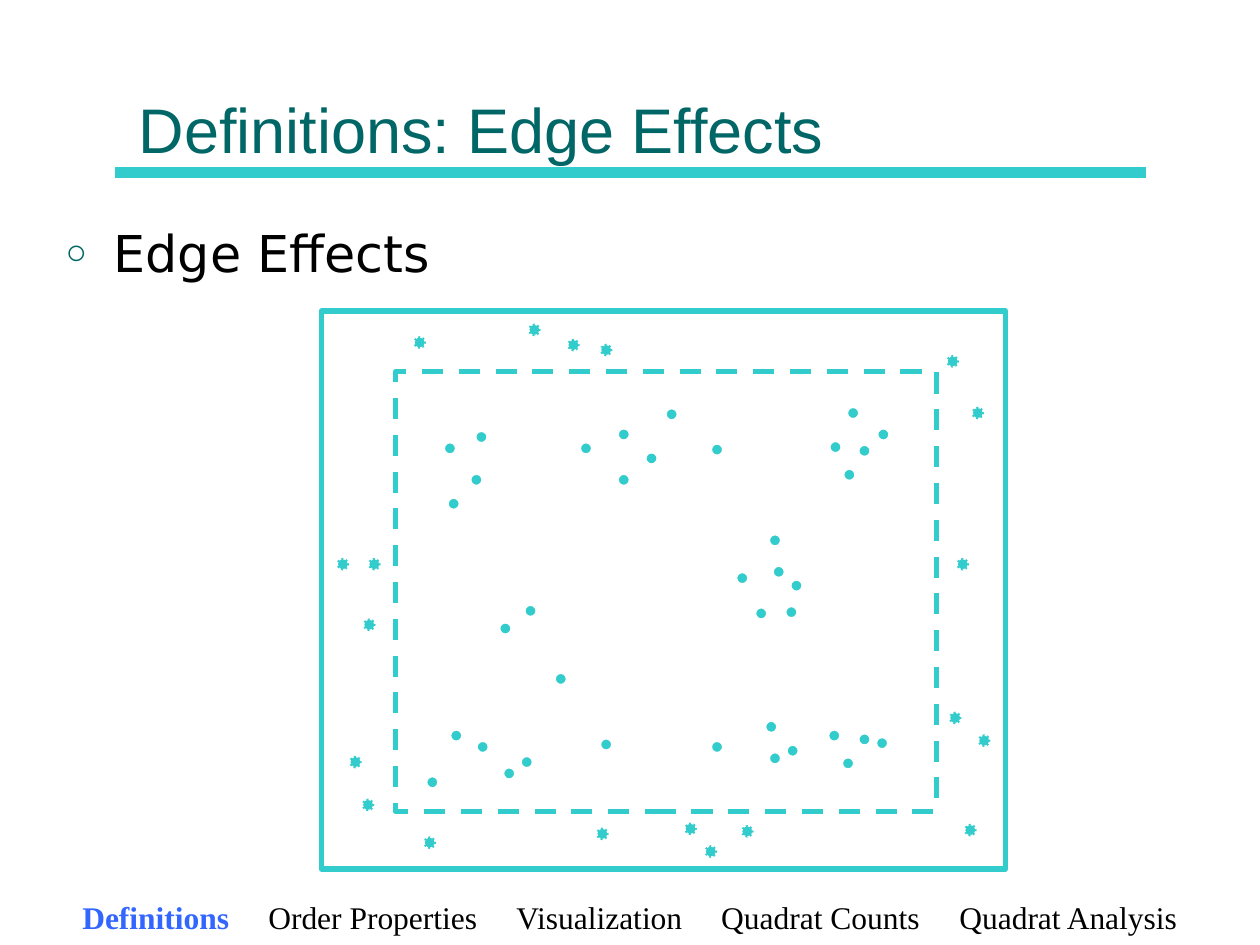
from lxml.etree import SubElement
from pptx import Presentation
from pptx.dml.color import RGBColor
from pptx.enum.dml import MSO_LINE
from pptx.enum.shapes import MSO_CONNECTOR, MSO_SHAPE
from pptx.enum.text import MSO_ANCHOR, MSO_AUTO_SIZE, PP_ALIGN
from pptx.oxml.ns import qn
from pptx.util import Cm, Pt

TEAL = RGBColor(0x33, 0xCC, 0xCC)
DARK = RGBColor(0x00, 0x66, 0x66)
BLUE = RGBColor(0x33, 0x66, 0xFF)
BLACK = RGBColor(0, 0, 0)
WHITE = RGBColor(0xFF, 0xFF, 0xFF)

# Map units: 100 units are 2.54 cm, counted from the frame's top left corner
UNIT = Cm(2.54) / 100
DOT = 10
FRAME = (543, 443)
STUDY = (59, 48, 429, 349)
INNER = [
    (97, 104), (122, 95), (118, 129), (100, 148),
    (205, 104), (235, 93), (235, 129), (257, 112), (273, 77), (309, 105),
    (403, 103), (417, 76), (414, 125), (426, 106), (441, 93),
    (329, 207), (355, 177), (358, 202), (372, 213), (344, 235), (368, 234),
    (141, 247), (161, 233), (185, 287),
    (83, 369), (102, 332), (123, 341), (144, 362), (158, 353), (221, 339),
    (309, 341), (352, 325), (355, 350), (369, 344),
    (402, 332), (413, 354), (426, 335), (440, 338),
]
OUTER = [
    (73, 20), (164, 10), (195, 22), (221, 26),
    (496, 35), (516, 76), (504, 196), (498, 318), (521, 336), (510, 407),
    (12, 196), (37, 196), (33, 244), (22, 353), (32, 387),
    (81, 417), (218, 410), (288, 406), (304, 424), (333, 408),
]
# Section names and the tab stop of each, in cm
MENU = [("Definitions", 0), ("Order Properties", 3.75), ("Visualization", 8.75),
        ("Quadrat Counts", 12.88), ("Quadrat Analysis", 17.68)]


def place(shape, box):
    shape.left, shape.top, shape.width, shape.height = map(Cm, box)


def style(font, name, size, color=None):
    font.name, font.size = name, Pt(size)
    if color is not None:
        font.color.rgb = color


def add_title(slide, box, text):
    title = slide.shapes.title
    place(title, box)
    frame = title.text_frame
    frame.text = text
    frame.auto_size = MSO_AUTO_SIZE.NONE
    frame.vertical_anchor = MSO_ANCHOR.BOTTOM
    para = frame.paragraphs[0]
    para.alignment = PP_ALIGN.LEFT
    style(para.font, "Arial", 36, DARK)

    # Rule along the bottom of the title
    left, top, width, height = box
    y = Cm(top + height)
    rule = slide.shapes.add_connector(
        MSO_CONNECTOR.STRAIGHT, Cm(left - 0.23), y, Cm(left + width + 0.25), y)
    rule.line.color.rgb = TEAL
    rule.line.width = Pt(6)
    SubElement(rule._element.spPr, qn("a:effectLst"))


def add_list(slide, box, text):
    body = slide.placeholders[1]
    place(body, box)
    frame = body.text_frame
    frame.text = text
    frame.auto_size = MSO_AUTO_SIZE.NONE
    para = frame.paragraphs[0]
    props = para._p.get_or_add_pPr()
    props.set("marL", str(Cm(0.97)))
    props.set("indent", str(Cm(-0.97)))
    color = SubElement(props, qn("a:buClr"))
    SubElement(color, qn("a:srgbClr"), val=str(DARK))
    SubElement(props, qn("a:buSzPct"), val="70000")
    SubElement(props, qn("a:buChar"), char="○")
    para.space_before = Pt(0)
    style(para.font, "DejaVu Sans", 29, BLACK)


def add_map(slide, left, top):
    def draw(shapes, kind, x, y, width, height):
        shape = shapes.add_shape(
            kind, round(Cm(left) + x * UNIT), round(Cm(top) + y * UNIT),
            round(width * UNIT), round(height * UNIT))
        shape.shadow.inherit = False
        return shape

    def outline(box, dash=None):
        rect = draw(slide.shapes, MSO_SHAPE.RECTANGLE, *box)
        rect.fill.background()
        rect.line.color.rgb = TEAL
        rect.line.width = Pt(3)
        rect.line.dash_style = dash

    def scatter(shapes, points, dash=None):
        for x, y in points:
            dot = draw(shapes, MSO_SHAPE.OVAL, x, y, DOT, DOT)
            dot.fill.solid()
            dot.fill.fore_color.rgb = TEAL
            dot.line.color.rgb = WHITE
            dot.line.width = Pt(1.5)
            dot.line.dash_style = dash

    # Events in the study area, the two borders, events in the edge zone
    scatter(slide.shapes, INNER)
    outline((0, 0, *FRAME))
    outline(STUDY, MSO_LINE.DASH)
    scatter(slide.shapes.add_group_shape().shapes, OUTER, MSO_LINE.ROUND_DOT)


def add_menu(slide, box, active):
    frame = slide.shapes.add_textbox(*map(Cm, box)).text_frame
    frame.word_wrap = True
    frame.margin_left = Cm(0.64)
    para = frame.paragraphs[0]
    tabs = SubElement(para._p.get_or_add_pPr(), qn("a:tabLst"))
    for name, stop in MENU:
        if stop:
            SubElement(tabs, qn("a:tab"), pos=str(Cm(stop)), algn="l")
        run = para.add_run()
        run.text = "\t" + name if stop else name
        run.font.bold = name == active
        run.font.color.rgb = BLUE if name == active else BLACK
    style(para.font, "Times New Roman", 18)


def main():
    deck = Presentation()
    deck.slide_width, deck.slide_height = Cm(25.4), Cm(19.05)
    slide = deck.slides.add_slide(deck.slide_layouts[1])
    add_title(slide, (2.54, 0.3, 20.32, 3.18), "Definitions: Edge Effects")
    add_list(slide, (1.07, 4.34, 23.19, 11.43), "Edge Effects")
    add_map(slide, 6.48, 6.27)
    add_menu(slide, (1.02, 17.98, 23.34, 1.02), "Definitions")
    deck.save("out.pptx")


if __name__ == "__main__":
    main()
